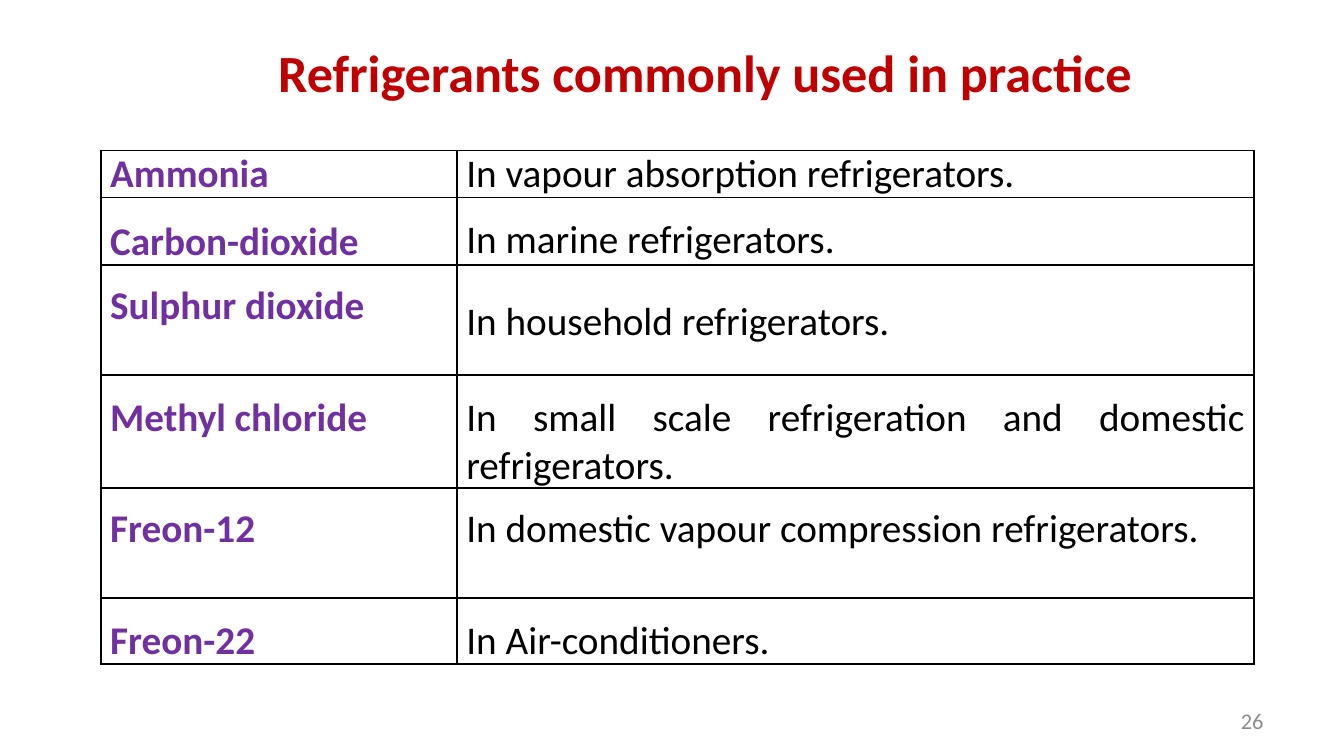
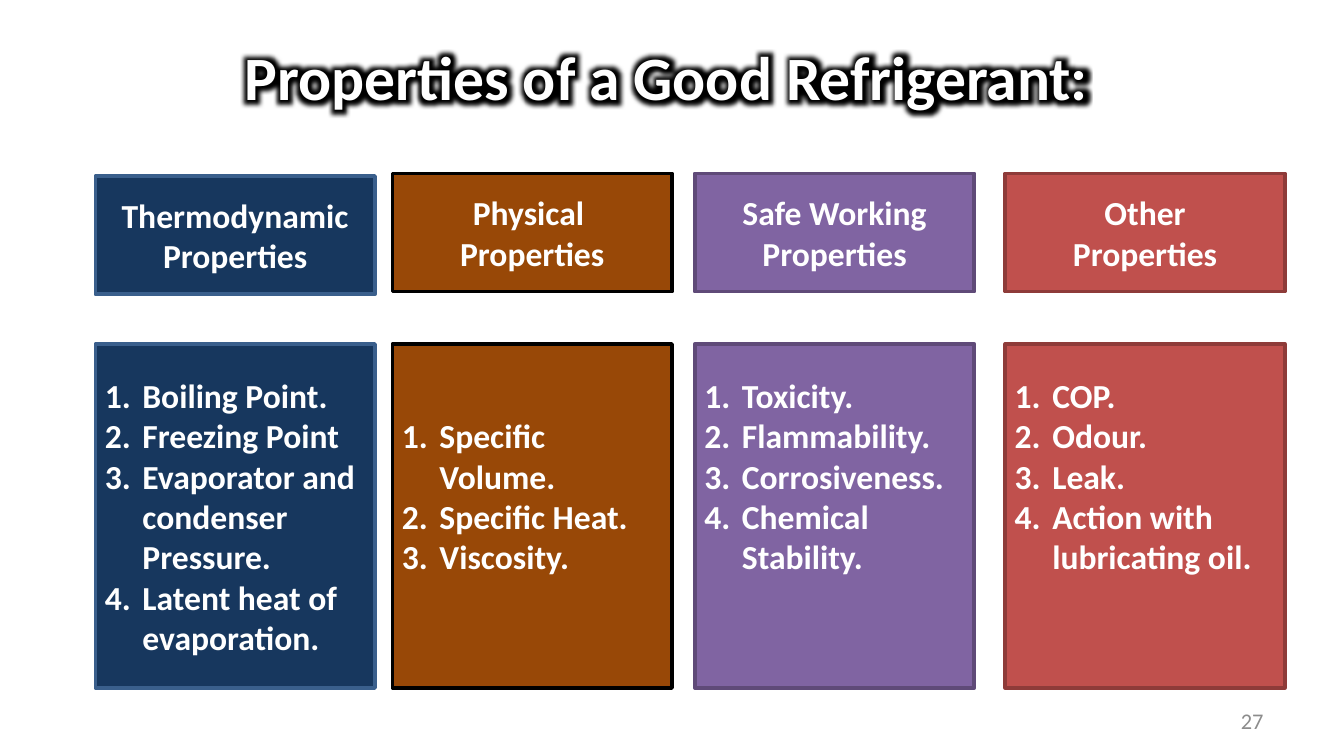
from lxml.etree import SubElement
from pptx import Presentation
from pptx.dml.color import RGBColor
from pptx.enum.shapes import MSO_SHAPE
from pptx.enum.text import MSO_ANCHOR, PP_ALIGN
from pptx.oxml import parse_xml
from pptx.oxml.ns import nsdecls, qn
from pptx.util import Inches, Pt

WIDE = 10
HIGH = WIDE * 9 / 16
FONT = "Calibri"
WHITE, BLACK, RED, GREY, VIOLET = "FFFFFF", "000000", "C00000", "8C8C8C", "7030A0"
LEFT, MID, RIGHT, FULL = PP_ALIGN.LEFT, PP_ALIGN.CENTER, PP_ALIGN.RIGHT, PP_ALIGN.JUSTIFY

USES = [
    ("Ammonia", "In vapour absorption refrigerators.", 0.35, 0, 0, LEFT),
    ("Carbon-dioxide", "In marine refrigerators.", 0.49, 0.15, 0.14, LEFT),
    ("Sulphur dioxide", "In household refrigerators.", 0.82, 0.13, 0.25, LEFT),
    ("Methyl chloride", "In small scale refrigeration and domestic refrigerators.",
     0.83, 0.14, 0.14, FULL),
    ("Freon-12", "In domestic vapour compression refrigerators.", 0.82, 0.13, 0.13, LEFT),
    ("Freon-22", "In Air-conditioners.", 0.48, 0.14, 0.14, LEFT),
]
COLS = (2.65, 5.93)

GROUPS = [
    {"head": ["Thermodynamic Properties"], "x": 0.71, "y": 1.31,
     "fill": "17375E", "line": "3A5F8C", "lift": 0,
     "list": ["Boiling Point.", "Freezing Point", "Evaporator and condenser Pressure.",
              "Latent heat of evaporation."]},
    {"head": ["Physical ", "Properties"], "x": 2.92, "y": 1.29,
     "fill": "984807", "line": BLACK, "lift": 1,
     "list": ["Specific Volume.", "Specific Heat.", "Viscosity."]},
    {"head": ["Safe Working Properties"], "x": 5.17, "y": 1.29,
     "fill": "8064A2", "line": "5F4A78", "lift": 2,
     "list": ["Toxicity.", "Flammability.", "Corrosiveness.", "Chemical Stability."]},
    {"head": ["Other", "Properties"], "x": 7.48, "y": 1.29,
     "fill": "C0504D", "line": "8E3B39", "lift": 2,
     "list": ["COP.", "Odour.", "Leak.", "Action with lubricating oil."]},
]
BOX, HEAD, BODY, TOP = 2.08, 0.88, 2.56, 2.56
LINE = 0.3


def tint(code):
    return RGBColor.from_string(code)


def write(frame, lines, size=18, color=WHITE, bold=True, align=LEFT, after=0,
          number=False, glow=0):
    frame.word_wrap = True
    for i, line in enumerate(lines):
        para = frame.add_paragraph() if i else frame.paragraphs[0]
        para.alignment = align
        para.space_after = Pt(after)
        run = para.add_run()
        run.text = line
        font = run.font
        font.name, font.size, font.bold = FONT, Pt(size), bold
        font.color.rgb = tint(color)
        if number:
            props = para._p.get_or_add_pPr()
            props.set("marL", str(Inches(0.28)))
            props.set("indent", str(Inches(-0.28)))
            SubElement(props, qn("a:buFont"), typeface="+mj-lt")
            SubElement(props, qn("a:buAutoNum"), type="arabicPeriod")
        if glow:
            run._r.rPr.find(qn("a:solidFill")).addnext(parse_xml(
                f'<a:effectLst {nsdecls("a")}><a:glow rad="{Pt(glow)}">'
                f'<a:srgbClr val="{BLACK}"/></a:glow></a:effectLst>'))


def inset(part, side, edge, low=None):
    part.margin_left = part.margin_right = Inches(side)
    part.margin_top = Inches(edge)
    part.margin_bottom = Inches(edge if low is None else low)


def label(slide, spot, text, side=0.1, edge=0.05, anchor=MSO_ANCHOR.TOP, **fmt):
    frame = slide.shapes.add_textbox(*map(Inches, spot)).text_frame
    inset(frame, side, edge)
    frame.vertical_anchor = anchor
    write(frame, [text], **fmt)


def panel(slide, group, y, high, lines, lift=0, **fmt):
    shape = slide.shapes.add_shape(
        MSO_SHAPE.RECTANGLE, *map(Inches, (group["x"], y, BOX, high)))
    shape.shadow.inherit = False
    shape.fill.solid()
    shape.fill.fore_color.rgb = tint(group["fill"])
    shape.line.color.rgb = tint(group["line"])
    shape.line.width = Pt(2)
    frame = shape.text_frame
    inset(frame, 0.07, 0.04, 0.04 + lift * LINE)
    frame.vertical_anchor = MSO_ANCHOR.MIDDLE
    write(frame, lines, **fmt)


def border(cell):
    props = cell._tc.get_or_add_tcPr()
    for side in ("lnL", "lnR", "lnT", "lnB"):
        props.append(parse_xml(
            f'<a:{side} {nsdecls("a")} w="{Pt(1)}"><a:solidFill>'
            f'<a:srgbClr val="{BLACK}"/></a:solidFill></a:{side}>'))


def fill_cell(cell, text, gap, **fmt):
    border(cell)
    cell.fill.solid()
    cell.fill.fore_color.rgb = tint(WHITE)
    inset(cell, 0.07, gap, 0)
    cell.vertical_anchor = MSO_ANCHOR.TOP
    write(cell.text_frame, [text], size=21, after=1, **fmt)


def new_slide(deck, page):
    slide = deck.slides.add_slide(deck.slide_layouts[6])
    label(slide, (7.17, 5.21, 2.33, 0.3), str(page), anchor=MSO_ANCHOR.MIDDLE,
          size=12, color=GREY, bold=False, align=RIGHT)
    return slide


def show_uses(deck):
    slide = new_slide(deck, 26)
    high = sum(row[2] for row in USES)
    table = slide.shapes.add_table(
        len(USES), len(COLS), *map(Inches, (0.75, 1.12, sum(COLS), high))).table
    table.first_row = table.horz_banding = False
    for col, wide in zip(table.columns, COLS):
        col.width = Inches(wide)
    for row, (name, use, tall, gap, drop, align) in zip(table.rows, USES):
        row.height = Inches(tall)
        fill_cell(row.cells[0], name, gap, color=VIOLET)
        fill_cell(row.cells[1], use, drop, color=BLACK, bold=False, align=align)
    label(slide, (0.83, 0.25, 8.83, 0.57), "Refrigerants commonly used in practice",
          size=28, color=RED, align=MID)


def show_groups(deck):
    slide = new_slide(deck, 27)
    label(slide, (1.75, 0.25, 6.75, 0.93), "Properties of a Good Refrigerant:",
          side=0.07, edge=0.04, size=33, glow=11)
    for group in GROUPS:
        panel(slide, group, group["y"], HEAD, group["head"], align=MID)
        panel(slide, group, TOP, BODY, group["list"], lift=group["lift"], number=True)


def main():
    deck = Presentation()
    deck.slide_width, deck.slide_height = Inches(WIDE), Inches(HIGH)
    show_uses(deck)
    show_groups(deck)
    deck.save("out.pptx")


if __name__ == "__main__":
    main()
